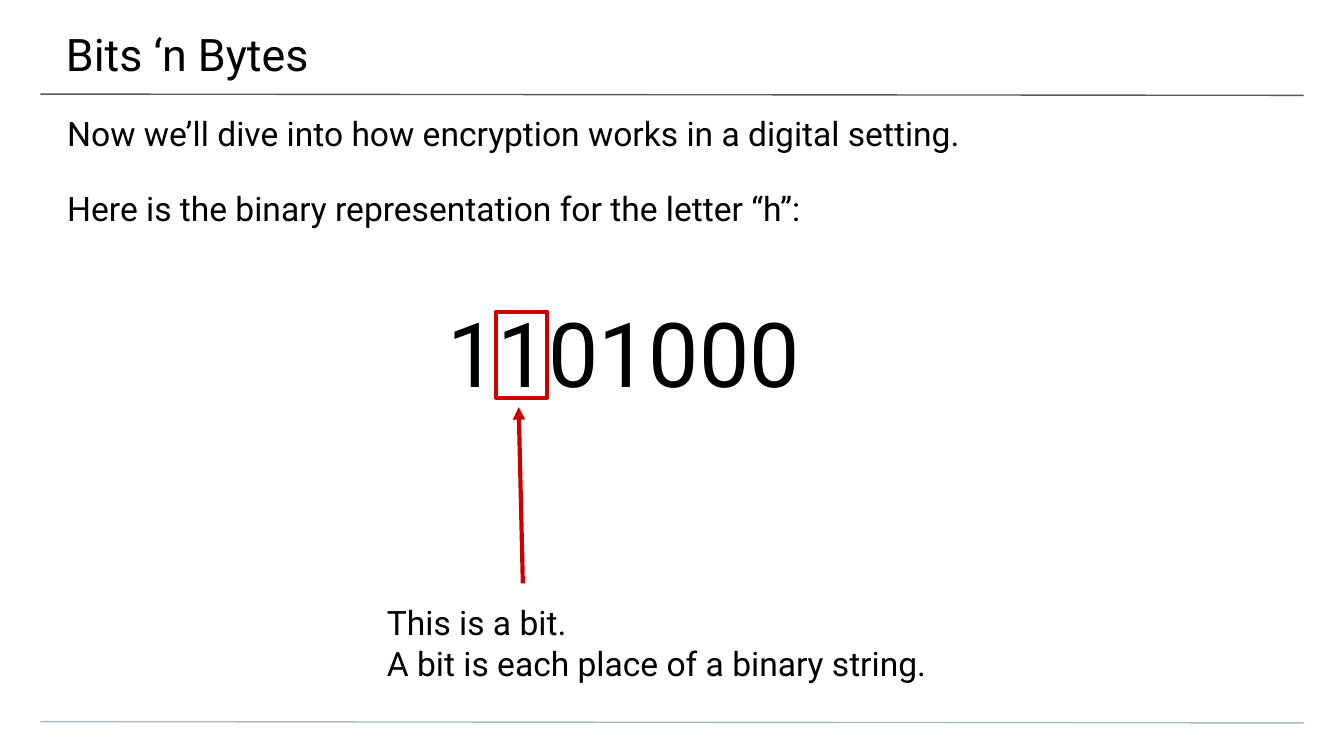
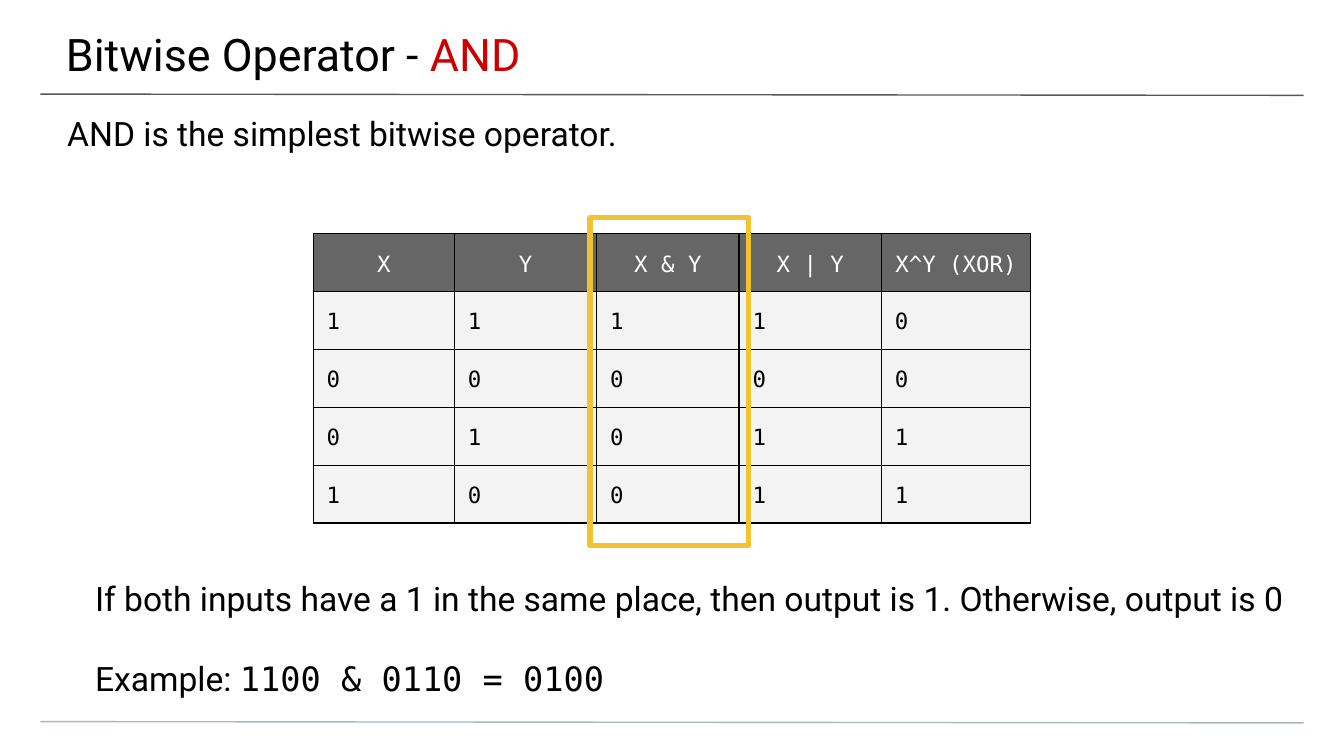
from collections import namedtuple

from lxml.etree import SubElement
from pptx import Presentation
from pptx.dml.color import RGBColor
from pptx.enum.shapes import MSO_CONNECTOR, MSO_SHAPE
from pptx.enum.text import MSO_ANCHOR, PP_ALIGN
from pptx.oxml.ns import qn
from pptx.util import Pt

BLACK = RGBColor(0x00, 0x00, 0x00)
WHITE = RGBColor(0xFF, 0xFF, 0xFF)
RED = RGBColor(0xCC, 0x00, 0x00)
YELLOW = RGBColor(0xF1, 0xC2, 0x32)
TITLE_RULE = RGBColor(0x59, 0x59, 0x59)
FOOTER_RULE = RGBColor(0xA9, 0xB7, 0xC0)
HEADER_FILL = RGBColor(0x66, 0x66, 0x66)
CELL_FILL = RGBColor(0xF3, 0xF3, 0xF3)

BODY_FONT = "Roboto"
CODE_FONT = "DejaVu Sans Mono"
BODY_SIZE = 18
BLANK_LINE = 21.4

Box = namedtuple("Box", "left top width height")
Span = namedtuple("Span", "text color font", defaults=(BLACK, BODY_FONT))

PAGE = Box(0, 0, 720, 405)
TITLE = Box(-0.7, 0, 722, 41.8)
SUBTITLE = Box(0, 53.3, 720, 28.8)
BINARY = Box(0, 100.8, 720, 116.6)
BIT_NOTE = Box(200.2, 315.4, 313.9, 57.4)
TRUTH_TABLE = Box(167.8, 125.3, 384.4, 152.5)
RULE_NOTE = Box(43.9, 302.4, 658.1, 78.6)


def style_font(font, size, color, name=BODY_FONT):
    """Set the size, colour and typeface of a font."""
    font.size = Pt(size)
    font.color.rgb = color
    font.name = name


def add_text(page, box, paragraphs, insets=(7.2, 7.2, 7.2, 7.2), size=BODY_SIZE, gap=0):
    """Add a text box whose paragraphs are lists of spans, and return its paragraphs."""
    frame = page.shapes.add_textbox(*map(Pt, box)).text_frame
    frame.word_wrap = True
    frame.vertical_anchor = MSO_ANCHOR.TOP
    frame.margin_left, frame.margin_top, frame.margin_right, frame.margin_bottom = map(Pt, insets)
    for index, spans in enumerate(paragraphs):
        para = frame.add_paragraph() if index else frame.paragraphs[0]
        if index and gap:
            para.space_before = Pt(gap)
        for span in spans:
            run = para.add_run()
            run.text = span.text
            style_font(run.font, size, span.color, span.font)
    return frame.paragraphs


def add_line(page, start, end, color, width, arrow=False):
    """Draw a straight line, with an arrowhead at its end if asked."""
    line = page.shapes.add_connector(MSO_CONNECTOR.STRAIGHT, *map(Pt, start + end))
    line.line.color.rgb = color
    line.line.width = Pt(width)
    if arrow:
        SubElement(line.line._get_or_add_ln(), qn("a:tailEnd"), type="triangle")
    SubElement(line._element.spPr, qn("a:effectLst"))


def add_frame(page, box, color, width):
    """Outline a box with an unfilled rectangle."""
    frame = page.shapes.add_shape(MSO_SHAPE.RECTANGLE, *map(Pt, box))
    frame.shadow.inherit = False
    frame.fill.background()
    frame.line.color.rgb = color
    frame.line.width = Pt(width)


def add_page(deck, title, subtitle):
    """Add a blank page with its two rules, title and subtitle."""
    page = deck.slides.add_slide(deck.slide_layouts[6])
    for top, color in ((50.4, TITLE_RULE), (386.6, FOOTER_RULE)):
        add_line(page, (21.6, top), (PAGE.width - 21.6, top + 0.7), color, 0.75)
    add_text(page, TITLE, [title], (36, 14.4, 21.6, 7.2), 24)
    add_text(page, SUBTITLE, [[Span(subtitle)]], (36, 7.2, 36, 0))
    return page


def add_binary(page, box):
    """Show the binary form of a letter with its second bit framed and pointed at."""
    lines = [
        [Span("Here is the binary representation for the letter “h”:")],
        [Span("1101000")],
    ]
    digits = add_text(page, box, lines, (36, 0, 36, 0), gap=BLANK_LINE + 16)[1]
    digits._p.get_or_add_pPr().set("marL", str(Pt(203.7)))
    style_font(digits.runs[0].font, 48, BLACK)
    bit = Box(box.left + 265.7, box.top + 66.2, 27.4, 46.1)
    tip = bit.top + bit.height + 5
    add_line(page, (bit.left + 14.4, tip + 94.4), (bit.left + 12.2, tip), RED, 2.25, arrow=True)
    add_frame(page, bit, RED, 2.25)


def style_cell(cell, value, is_header):
    """Fill one truth table cell with its value, colours and borders."""
    cell.margin_left = cell.margin_right = cell.margin_top = cell.margin_bottom = Pt(7.2)
    para = cell.text_frame.paragraphs[0]
    para.text = str(value)
    para.line_spacing = 1.15
    para.alignment = PP_ALIGN.CENTER if is_header else PP_ALIGN.LEFT
    style_font(para.runs[0].font, 12, WHITE if is_header else BLACK, CODE_FONT)
    properties = cell._tc.get_or_add_tcPr()
    for side in ("lnL", "lnR", "lnT", "lnB"):
        border = SubElement(properties, qn(f"a:{side}"), w=str(Pt(0.75)))
        fill = SubElement(border, qn("a:solidFill"))
        SubElement(fill, qn("a:srgbClr"), val=str(BLACK))
    cell.fill.solid()
    cell.fill.fore_color.rgb = HEADER_FILL if is_header else CELL_FILL


def add_truth_table(page, box):
    """Add the truth table of the bitwise operators and frame its AND column."""
    inputs = [(1, 1), (0, 0), (0, 1), (1, 0)]
    rows = [("X", "Y", "X & Y", "X | Y", "X^Y (XOR)")]
    rows += [(x, y, x & y, x | y, x ^ y) for x, y in inputs]
    widths = [75.6, 76.3, 76.3, 76.3, 79.9]
    table = page.shapes.add_table(len(rows), len(widths), *map(Pt, box)).table
    for column, width in zip(table.columns, widths):
        column.width = Pt(width)
    for row_index, values in enumerate(rows):
        table.rows[row_index].height = Pt(box.height / len(rows))
        for column_index, value in enumerate(values):
            style_cell(table.cell(row_index, column_index), value, row_index == 0)
    and_left = box.left + sum(widths[:2])
    add_frame(page, Box(and_left - 3.6, box.top - 8.7, widths[2] + 8.7, box.height + 23.2), YELLOW, 3)


def build_bits_page(deck):
    """Build the page that explains what a bit is."""
    page = add_page(
        deck,
        [Span("Bits ‘n Bytes")],
        "Now we’ll dive into how encryption works in a digital setting.",
    )
    add_binary(page, BINARY)
    note = ["This is a bit.", "A bit is each place of a binary string."]
    add_text(page, BIT_NOTE, [[Span(line)] for line in note])


def build_and_page(deck):
    """Build the page that explains the AND operator."""
    page = add_page(
        deck,
        [Span("Bitwise Operator - "), Span("AND", RED)],
        "AND is the simplest bitwise operator.",
    )
    add_truth_table(page, TRUTH_TABLE)
    note = [
        [Span("If both inputs have a 1 in the same place, then output is 1. Otherwise, output is 0")],
        [Span("Example: "), Span("1100 & 0110 = 0100", font=CODE_FONT)],
    ]
    add_text(page, RULE_NOTE, note, gap=BLANK_LINE)


def main():
    """Build and save the deck."""
    deck = Presentation()
    deck.slide_width, deck.slide_height = Pt(PAGE.width), Pt(PAGE.height)
    build_bits_page(deck)
    build_and_page(deck)
    deck.save("out.pptx")


if __name__ == "__main__":
    main()
